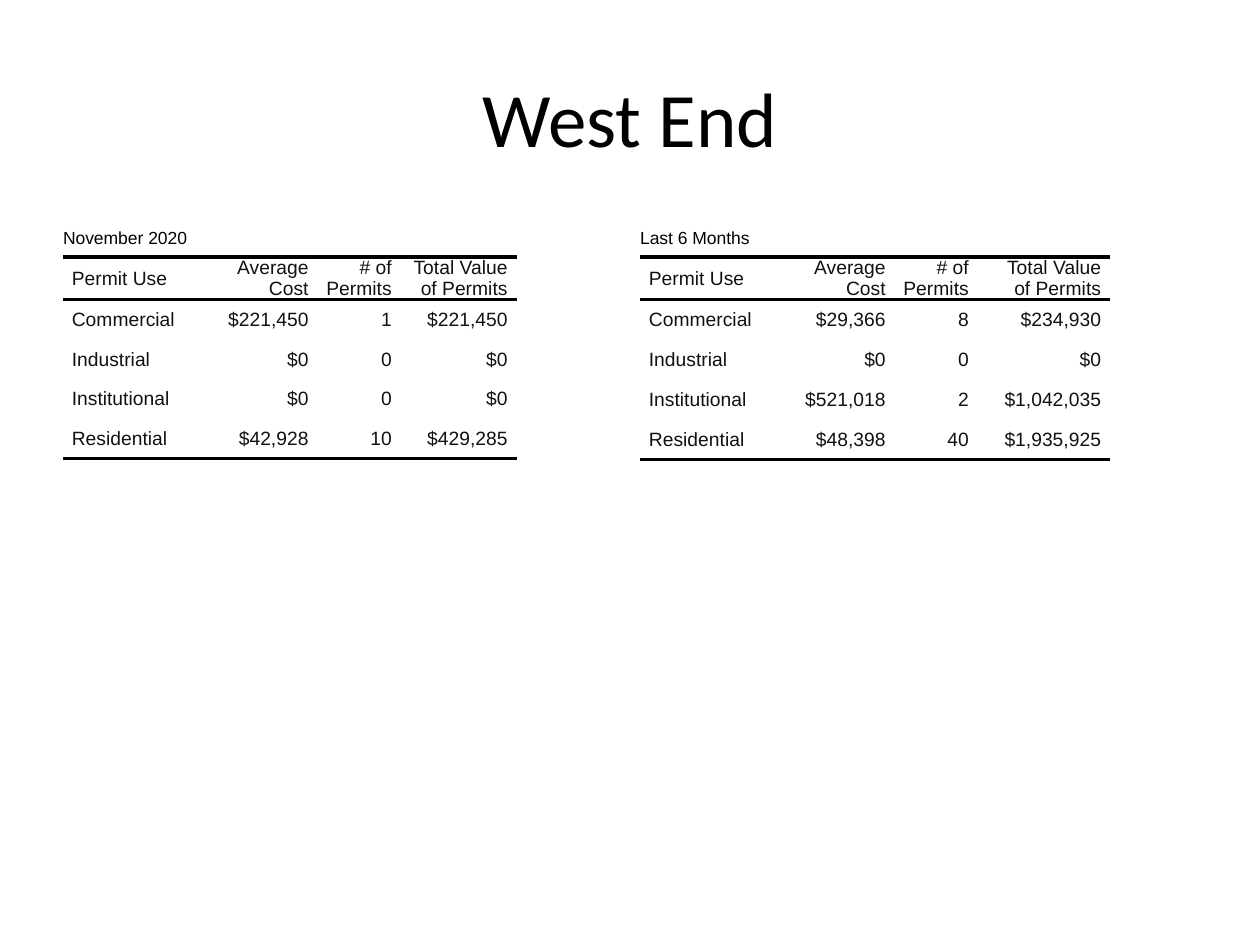
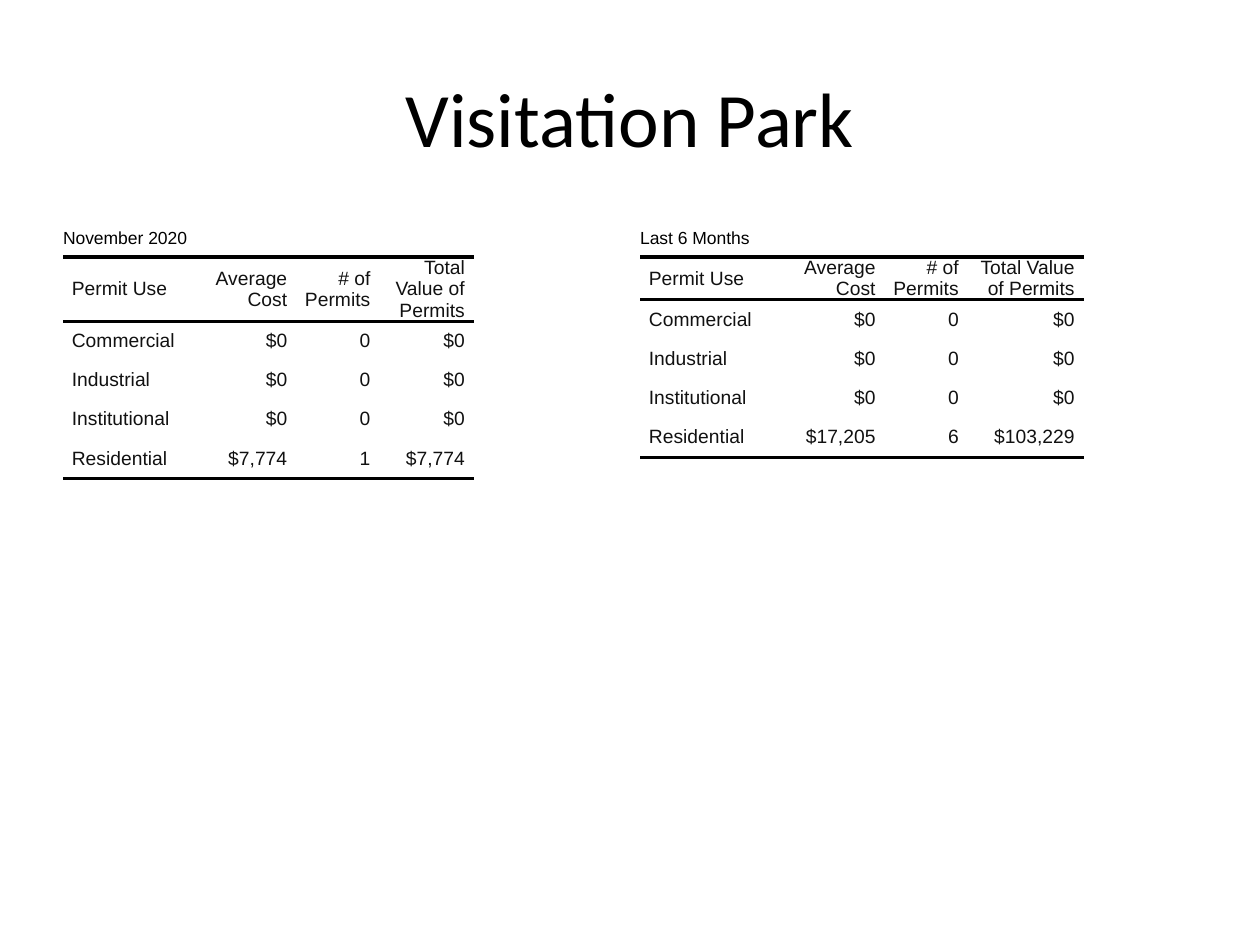
"""Build two neighbourhood slides with building permit tables."""
from dataclasses import dataclass

from lxml.etree import SubElement
from pptx import Presentation
from pptx.dml.color import RGBColor
from pptx.enum.text import MSO_ANCHOR, PP_ALIGN
from pptx.oxml.ns import qn
from pptx.util import Inches, Pt


@dataclass(frozen=True)
class Theme:
    title_font: str = "Calibri"
    table_font: str = "Arial"
    title_size: int = 44
    caption_size: int = 10
    cell_size: int = 11
    black: str = "000000"
    cell_color: str = "111111"
    rule_width: int = 2
    plain_table_style: str = "{2D5ABB26-0587-4C30-8999-92F81FD0307C}"


HEADERS = ("Permit Use", "Average Cost", "# of Permits", "Total Value of Permits")
PERMIT_USES = ("Commercial", "Industrial", "Institutional", "Residential")
PERIODS = (("November 2020", 0.5), ("Last 6 Months", 5.08))
TOP_ROW_HEIGHTS = (0.29, 0.29)
NO_PERMITS = (0, 0, 0)

NEIGHBOURHOODS = (
    ("West End", (
        ((1.1, 0.92, 0.66, 0.92), (0.32, 0.31, 0.31, 0.32),
         ((221450, 1, 221450), NO_PERMITS, NO_PERMITS, (42928, 10, 429285))),
        ((1.1, 0.92, 0.66, 1.05), (0.32, 0.31, 0.32, 0.32),
         ((29366, 8, 234930), NO_PERMITS, (521018, 2, 1042035), (48398, 40, 1935925))),
    )),
    ("Visitation Park", (
        ((1.1, 0.75, 0.66, 0.75), (0.31, 0.31, 0.31, 0.32),
         (NO_PERMITS, NO_PERMITS, NO_PERMITS, (7774, 1, 7774))),
        ((1.1, 0.84, 0.66, 0.92), (0.31, 0.31, 0.31, 0.32),
         (NO_PERMITS, NO_PERMITS, NO_PERMITS, (17205, 6, 103229))),
    )),
)


class PermitDeck:
    """Hold the theme and the current slide, and draw each kind of element."""

    def __init__(self, theme):
        self.theme = theme
        self.presentation = Presentation()
        self.presentation.slide_width = Inches(10)
        self.presentation.slide_height = Inches(7.5)
        self.slide = None

    def add_slide(self, title):
        """Start a slide and fill its title placeholder."""
        self.slide = self.presentation.slides.add_slide(self.presentation.slide_layouts[5])
        shape = self.slide.shapes.title
        shape.left, shape.top = Inches(0.5), Inches(0.3)
        shape.width, shape.height = Inches(9), Inches(1.25)
        shape.text_frame.text = title
        shape.text_frame.vertical_anchor = MSO_ANCHOR.MIDDLE
        paragraph = shape.text_frame.paragraphs[0]
        paragraph.alignment = PP_ALIGN.CENTER
        self.set_font(paragraph, self.theme.title_font, self.theme.title_size, self.theme.black)

    def set_font(self, paragraph, name, size, color):
        """Set the font of a whole paragraph."""
        paragraph.font.name = name
        paragraph.font.size = Pt(size)
        paragraph.font.color.rgb = RGBColor.from_string(color)

    def add_permit_table(self, caption, left, widths, body_heights, figures):
        """Add a captioned permit table."""
        heights = TOP_ROW_HEIGHTS + body_heights
        frame = self.slide.shapes.add_table(
            len(heights), len(widths), Inches(left), Inches(1.75), Inches(4.42), Inches(4.95))
        table = frame.table
        table.first_row = table.horz_banding = False
        table._tbl.tblPr.find(qn("a:tableStyleId")).text = self.theme.plain_table_style
        for column, width in zip(table.columns, widths):
            column.width = Inches(width)
        for row, height in zip(table.rows, heights):
            row.height = Inches(height)
        frame.width, frame.height = Inches(4.42), Inches(4.95)

        table.cell(0, 0).merge(table.cell(0, len(widths) - 1))
        paragraph = self.fill_cell(table.cell(0, 0), caption)
        self.set_font(paragraph, self.theme.table_font, self.theme.caption_size, self.theme.black)

        body = [(use, f"${cost:,}", str(count), f"${total:,}")
                for use, (cost, count, total) in zip(PERMIT_USES, figures)]
        for row_number, texts in enumerate([HEADERS, *body], start=1):
            for column_number, text in enumerate(texts):
                cell = table.cell(row_number, column_number)
                self.add_permit_cell(cell, text, column_number > 0)
                if row_number == 1:
                    self.add_rules(cell, "a:lnT", "a:lnB")
                elif row_number == len(body) + 1:
                    self.add_rules(cell, "a:lnB")

    def fill_cell(self, cell, text):
        """Put text in an unfilled cell without margins."""
        cell.margin_left = cell.margin_right = cell.margin_top = cell.margin_bottom = 0
        cell.vertical_anchor = MSO_ANCHOR.MIDDLE
        cell.text = text
        cell.fill.background()
        return cell.text_frame.paragraphs[0]

    def add_permit_cell(self, cell, text, is_number):
        """Write an indented header or body cell."""
        paragraph = self.fill_cell(cell, text)
        properties = paragraph._p.get_or_add_pPr()
        for side in ("marL", "marR"):
            properties.set(side, str(Inches(0.07)))
        paragraph.alignment = PP_ALIGN.RIGHT if is_number else PP_ALIGN.LEFT
        paragraph.space_after = Pt(2)
        self.set_font(paragraph, self.theme.table_font, self.theme.cell_size,
                      self.theme.cell_color)

    def add_rules(self, cell, *sides):
        """Draw solid rules on the named sides of a cell."""
        properties = cell._tc.get_or_add_tcPr()
        for position, side in enumerate(sides):
            line = SubElement(properties, qn(side), w=str(Pt(self.theme.rule_width)))
            fill = SubElement(line, qn("a:solidFill"))
            SubElement(fill, qn("a:srgbClr"), val=self.theme.black)
            properties.insert(position, line)


def main():
    """Build and save the presentation."""
    deck = PermitDeck(Theme())
    for name, tables in NEIGHBOURHOODS:
        deck.add_slide(name)
        for (caption, left), table in zip(PERIODS, tables):
            deck.add_permit_table(caption, left, *table)
    deck.presentation.save("out.pptx")


if __name__ == "__main__":
    main()
